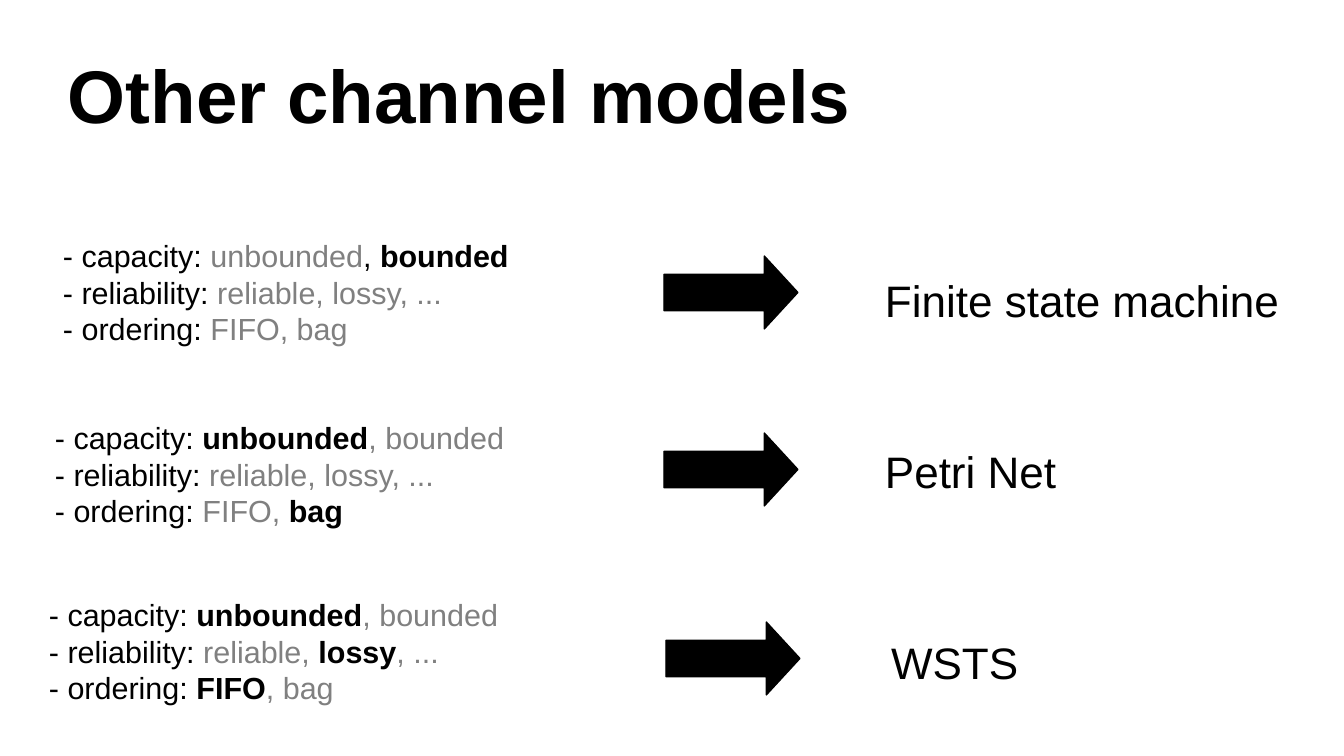
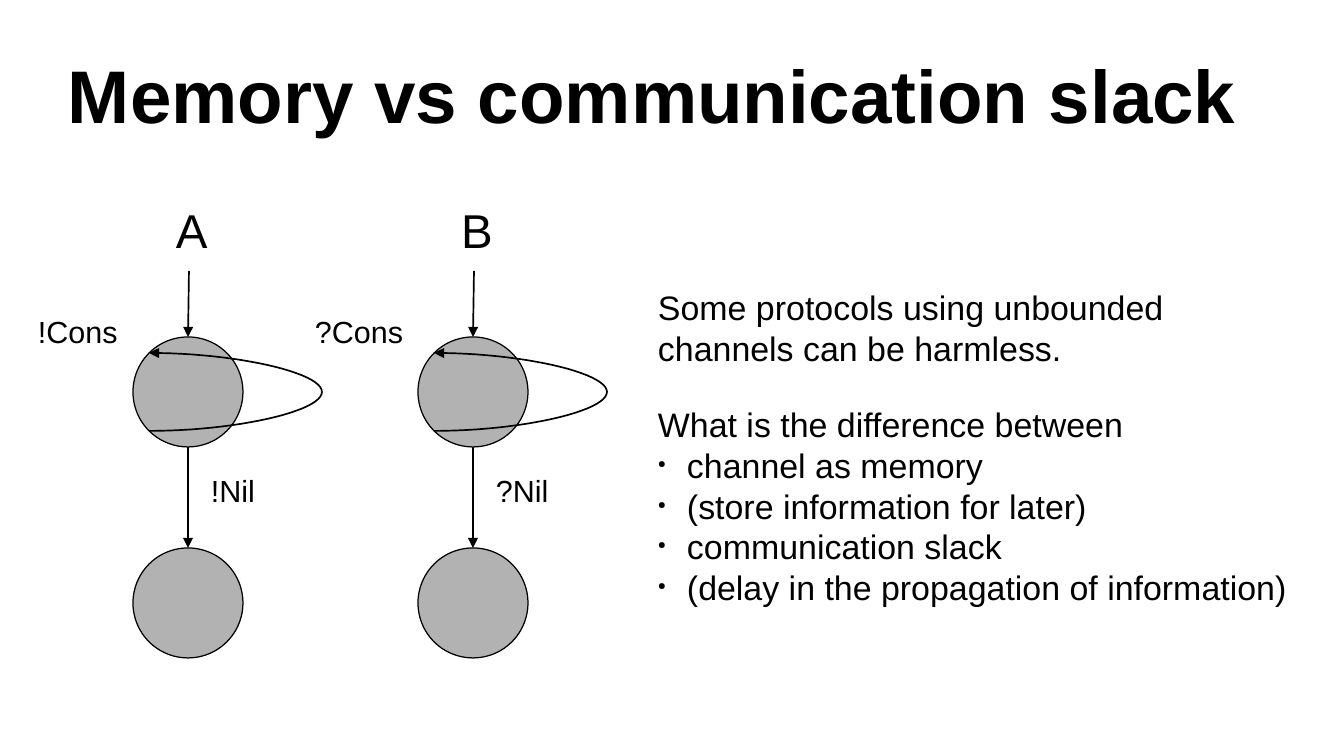
from lxml.etree import SubElement
from pptx import Presentation
from pptx.dml.color import RGBColor
from pptx.enum.shapes import MSO_CONNECTOR as Connector, MSO_SHAPE as Shape
from pptx.enum.text import MSO_ANCHOR as Anchor
from pptx.oxml.ns import qn
from pptx.util import Pt

PX = 7495
FONT = "Arial"
BLACK = RGBColor(0x00, 0x00, 0x00)
GRAY = RGBColor(0x80, 0x80, 0x80)
STATE_FILL = RGBColor(0xB2, 0xB2, 0xB2)

PLAIN = (BLACK, False)
CHOSEN = (BLACK, True)
FADED = (GRAY, False)

CHANNEL_MODELS = [
    {
        "options": (51, 231, 510, 183), "arrow": (664, 256),
        "result": (873, 267, 430, 61), "name": "Finite state machine",
        "lines": [
            [("- capacity: ", PLAIN), ("unbounded", FADED), (", ", PLAIN), ("bounded", CHOSEN)],
            [("- reliability: ", PLAIN), ("reliable, lossy, ...", FADED)],
            [("- ordering: ", PLAIN), ("FIFO, bag", FADED)],
        ],
    },
    {
        "options": (43, 413, 490, 115), "arrow": (664, 433),
        "result": (873, 439, 220, 61), "name": "Petri Net",
        "lines": [
            [("- capacity: ", PLAIN), ("unbounded", CHOSEN), (", bounded", FADED)],
            [("- reliability: ", PLAIN), ("reliable, lossy, ...", FADED)],
            [("- ordering: ", PLAIN), ("FIFO, ", FADED), ("bag", CHOSEN)],
        ],
    },
    {
        "options": (37, 590, 490, 115), "arrow": (666, 622),
        "result": (879, 630, 170, 61), "name": "WSTS",
        "lines": [
            [("- capacity: ", PLAIN), ("unbounded", CHOSEN), (", bounded", FADED)],
            [("- reliability: ", PLAIN), ("reliable, ", FADED), ("lossy", CHOSEN), (", ...", FADED)],
            [("- ordering: ", PLAIN), ("FIFO", CHOSEN), (", bag", FADED)],
        ],
    },
]

QUESTION = "What is the difference between"
DIFFERENCES = [
    "channel as memory",
    "(store information for later)",
    "communication slack",
    "(delay in the propagation of information)",
]


def scaled(*lengths):
    return [length * PX for length in lengths]


def set_font(paragraph, size, bold=False):
    font = paragraph.font
    font.name, font.size, font.bold = FONT, Pt(size), bold
    font.color.rgb = BLACK


def add_text(slide, box, lines, size, bold=False):
    frame = slide.shapes.add_textbox(*scaled(*box)).text_frame
    frame.word_wrap = True
    for index, line in enumerate(lines):
        paragraph = frame.add_paragraph() if index else frame.paragraphs[0]
        set_font(paragraph, size, bold)
        if isinstance(line, str):
            paragraph.add_run().text = line
            continue
        for text, (color, run_bold) in line:
            run = paragraph.add_run()
            run.text = text
            run.font.color.rgb = color
            run.font.bold = run_bold
    return frame


def add_title_slide(presentation, title):
    slide = presentation.slides.add_slide(presentation.slide_layouts[6])
    frame = add_text(slide, (68, 30, 1210, 127), [title], 44, bold=True)
    frame.margin_left = frame.margin_right = frame.margin_top = frame.margin_bottom = 0
    frame.vertical_anchor = Anchor.MIDDLE
    return slide


def add_filled(slide, kind, box, color):
    shape = slide.shapes.add_shape(kind, *scaled(*box))
    shape.shadow.inherit = False
    shape.fill.solid()
    shape.fill.fore_color.rgb = color
    shape.line.color.rgb = BLACK
    shape.line.width = 0
    return shape


def style_arrow(shape):
    shape.line.color.rgb = BLACK
    shape.line.width = Pt(1)
    SubElement(shape.line._get_or_add_ln(), qn("a:tailEnd"), type="triangle")


def add_arrow(slide, start, end):
    connector = slide.shapes.add_connector(Connector.STRAIGHT, *scaled(*start, *end))
    style_arrow(connector)
    SubElement(connector._element.spPr, qn("a:effectLst"))


def bezier(points, t):
    weights = ((1 - t) ** 3, 3 * t * (1 - t) ** 2, 3 * t * t * (1 - t), t ** 3)
    return tuple(round(sum(w * point[axis] for w, point in zip(weights, points)) * PX)
                 for axis in (0, 1))


def add_loop(slide, left, top, width, height):
    right, middle, bottom = left + width, top + height / 2, top + height
    lower = [(left, bottom), (left + width / 2, bottom),
             (right, bottom - height / 4), (right, middle)]
    upper = [(x, top + bottom - y) for x, y in reversed(lower)]
    steps = 24
    points = [bezier(half, step / steps) for half in (lower, upper) for step in range(steps + 1)]
    builder = slide.shapes.build_freeform(*points[0])
    builder.add_line_segments(points[1:], close=False)
    loop = builder.convert_to_shape()
    loop.shadow.inherit = False
    loop.fill.background()
    style_arrow(loop)


def add_bullet(paragraph):
    properties = paragraph._p.get_or_add_pPr()
    properties.set("marL", str(29 * PX))
    properties.set("indent", str(-29 * PX))
    color = SubElement(properties, qn("a:buClr"))
    SubElement(color, qn("a:srgbClr"), val=str(BLACK))
    SubElement(properties, qn("a:buSzPct"), val="30000")
    SubElement(properties, qn("a:buChar"), char="●")
    properties.append(properties.find(qn("a:defRPr")))


def add_automaton(slide, left, name, sign, cons_left):
    size, first_top, second_top = 110, 337, 548
    center = left + size // 2
    for top in (first_top, second_top):
        add_filled(slide, Shape.OVAL, (left, top, size, size), STATE_FILL)
    add_arrow(slide, (center + 1, 271), (center, first_top))
    add_arrow(slide, (center, first_top + size), (center, second_top))
    add_loop(slide, left + 16, 353, 173, 78)
    add_text(slide, (left + 31, 195, 60, 65), [name], 28)
    add_text(slide, (cons_left, 307, 125, 46), [f"{sign}Cons"], 18)
    add_text(slide, (left + 66, 466, 90, 46), [f"{sign}Nil"], 18)


def build_channel_models(presentation):
    slide = add_title_slide(presentation, "Other channel models")
    for model in CHANNEL_MODELS:
        add_text(slide, model["options"], model["lines"], 18)
        arrow = add_filled(slide, Shape.RIGHT_ARROW, (*model["arrow"], 134, 73), BLACK)
        arrow.adjustments[1] = 0.46
        add_text(slide, model["result"], [model["name"]], 26)


def build_communication_slack(presentation):
    slide = add_title_slide(presentation, "Memory vs communication slack")
    add_automaton(slide, 133, "A", "!", 26)
    add_automaton(slide, 418, "B", "?", 303)
    lines = ["Some protocols using unbounded channels can be harmless.", QUESTION, *DIFFERENCES]
    frame = add_text(slide, (646, 281, 671, 311), lines, 20)
    frame.paragraphs[1].space_before = Pt(21)
    for paragraph in frame.paragraphs[2:]:
        add_bullet(paragraph)


def main():
    presentation = Presentation()
    presentation.slide_width, presentation.slide_height = scaled(1344, 756)
    build_channel_models(presentation)
    build_communication_slack(presentation)
    presentation.save("out.pptx")


if __name__ == "__main__":
    main()
